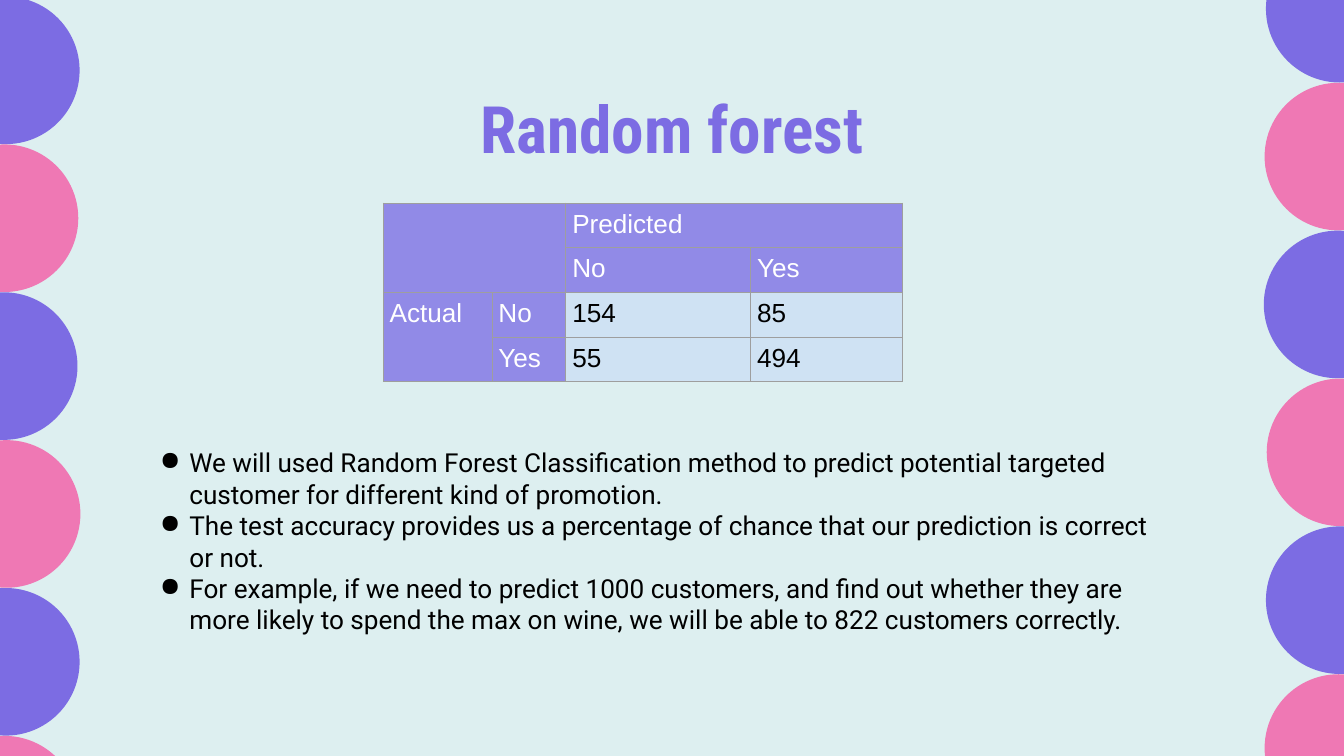
from lxml import etree
from pptx import Presentation
from pptx.dml.color import RGBColor
from pptx.enum.shapes import MSO_SHAPE
from pptx.enum.text import PP_ALIGN
from pptx.oxml import parse_xml
from pptx.oxml.ns import nsdecls, qn
from pptx.util import Cm, Pt

OVAL = MSO_SHAPE.OVAL
CENTER = PP_ALIGN.CENTER

COLORS = {
    "background": "DDEFF0",
    "purple": "7C6CE3",
    "pink": "EF78B4",
    "header": "918AE7",
    "value": "CFE2F3",
    "border": "9E9E9E",
    "black": "000000",
    "white": "FFFFFF",
}

BULLETS = [
    "We will used Random Forest Classification method to predict potential targeted "
    "customer for different kind of promotion.",
    "The test accuracy provides us a percentage of chance that our prediction is correct or not.",
    "For example, if we need to predict 1000 customers, and find out whether they are more "
    "likely to spend the max on wine, we will be able to 822 customers correctly.",
]

MATRIX = [
    ["", "", "Predicted", ""],
    ["", "", "No", "Yes"],
    ["Actual", "No", "154", "85"],
    ["", "Yes", "55", "494"],
]
MERGES = [((0, 0), (1, 1)), ((0, 2), (0, 3)), ((2, 0), (3, 0))]
HEADER_SPAN = 2
COL_WIDTHS = [4.11, 2.79, 6.99, 5.72]
ROW_HEIGHT = 1.69

DIAMETER = 5.58
PITCH = 5.59
OFFSETS = [0, -0.05, -0.08, 0.03]


def rgb(name):
    """Return the named colour."""
    return RGBColor.from_string(COLORS[name])


class SlideBuilder:
    """Hold the style and the current slide."""

    def __init__(self, slide):
        self.slide = slide
        self.body_size = 28
        fill = slide.background.fill
        fill.solid()
        fill.fore_color.rgb = rgb("background")

    def style(self, p, font, size, color, bold=False):
        """Format every run of a paragraph."""
        for r in p.runs:
            r.font.name = font
            r.font.size = Pt(size)
            r.font.bold = bold
            r.font.color.rgb = rgb(color)

    def text_frame(self, x, y, w, h, inset):
        """Add a wrapping text box and return its frame."""
        tf = self.slide.shapes.add_textbox(Cm(x), Cm(y), Cm(w), Cm(h)).text_frame
        tf.word_wrap = True
        tf.margin_left = tf.margin_right = tf.margin_top = tf.margin_bottom = Cm(inset)
        return tf

    def title(self, text, x, y, w, h):
        """Add the centred title."""
        p = self.text_frame(x, y, w, h, 0).paragraphs[0]
        p.text = text
        p.alignment = CENTER
        p.line_spacing = 1.11
        self.style(p, "Roboto Condensed", 70, "purple", True)

    def bullets(self, items, x, y, w, h):
        """Add a bulleted list."""
        tf = self.text_frame(x, y, w, h, 0.25)
        tf.text = "\n".join(items)
        for p in tf.paragraphs:
            pPr = p._p.get_or_add_pPr()
            pPr.set("marL", str(Cm(1.27)))
            pPr.set("indent", str(Cm(-1.12)))
            clr = etree.SubElement(pPr, qn("a:buClr"))
            etree.SubElement(clr, qn("a:srgbClr"), val=COLORS["black"])
            etree.SubElement(pPr, qn("a:buChar"), char="●")
            self.style(p, "Roboto", self.body_size, "black")

    def borders(self, cell):
        """Draw a thin line on each side of a cell."""
        tcPr = cell._tc.get_or_add_tcPr()
        for i, side in enumerate("LRTB"):
            tcPr.insert(i, parse_xml(
                f'<a:ln{side} {nsdecls("a")} w="{Pt(0.75)}"><a:solidFill>'
                f'<a:srgbClr val="{COLORS["border"]}"/></a:solidFill></a:ln{side}>'))

    def table(self, rows, x, y):
        """Add the confusion matrix."""
        table = self.slide.shapes.add_table(
            len(rows), len(COL_WIDTHS), Cm(x), Cm(y),
            Cm(sum(COL_WIDTHS)), Cm(ROW_HEIGHT * len(rows))).table
        table.first_row = table.horz_banding = False
        for col, width in zip(table.columns, COL_WIDTHS):
            col.width = Cm(width)
        for i, row in enumerate(rows):
            table.rows[i].height = Cm(ROW_HEIGHT)
            for j, text in enumerate(row):
                cell = table.cell(i, j)
                is_header = min(i, j) < HEADER_SPAN
                cell.text = text
                cell.margin_left = cell.margin_right = Cm(0.25)
                cell.margin_top = cell.margin_bottom = Cm(0.25)
                cell.fill.solid()
                cell.fill.fore_color.rgb = rgb("header" if is_header else "value")
                self.borders(cell)
                self.style(cell.text_frame.paragraphs[0], "Arial", self.body_size,
                           "white" if is_header else "black")
        for first, last in MERGES:
            table.cell(*first).merge(table.cell(*last))

    def circle_column(self, x, y):
        """Stack circles of alternating colour along one edge."""
        for i in range(6):
            sp = self.slide.shapes.add_shape(
                OVAL, Cm(x + OFFSETS[i % len(OFFSETS)]), Cm(y + i * PITCH),
                Cm(DIAMETER), Cm(DIAMETER))
            sp.shadow.inherit = False
            sp.fill.solid()
            sp.fill.fore_color.rgb = rgb("pink" if i % 2 else "purple")
            sp.line.fill.background()


def main():
    """Build and save the slide."""
    prs = Presentation()
    prs.slide_width, prs.slide_height = Cm(50.8), Cm(28.58)
    s = SlideBuilder(prs.slides.add_slide(prs.slide_layouts[6]))
    s.title("Random forest", 4.72, 3.02, 41.35, 3)
    s.bullets(BULLETS, 5.64, 16.64, 38.2, 7.7)
    s.table(MATRIX, 14.48, 7.67)
    s.circle_column(47.85, -2.46)
    s.circle_column(-2.57, -0.13)
    prs.save("out.pptx")


if __name__ == "__main__":
    main()
